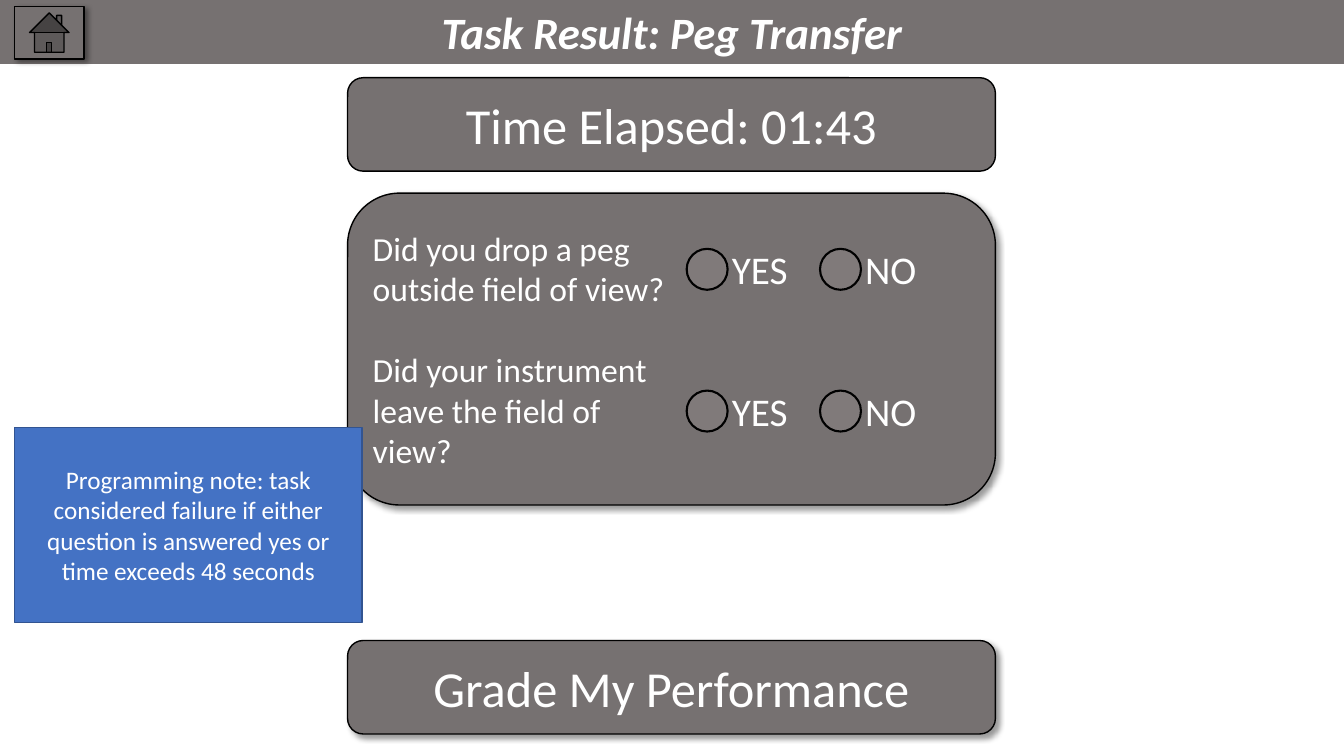
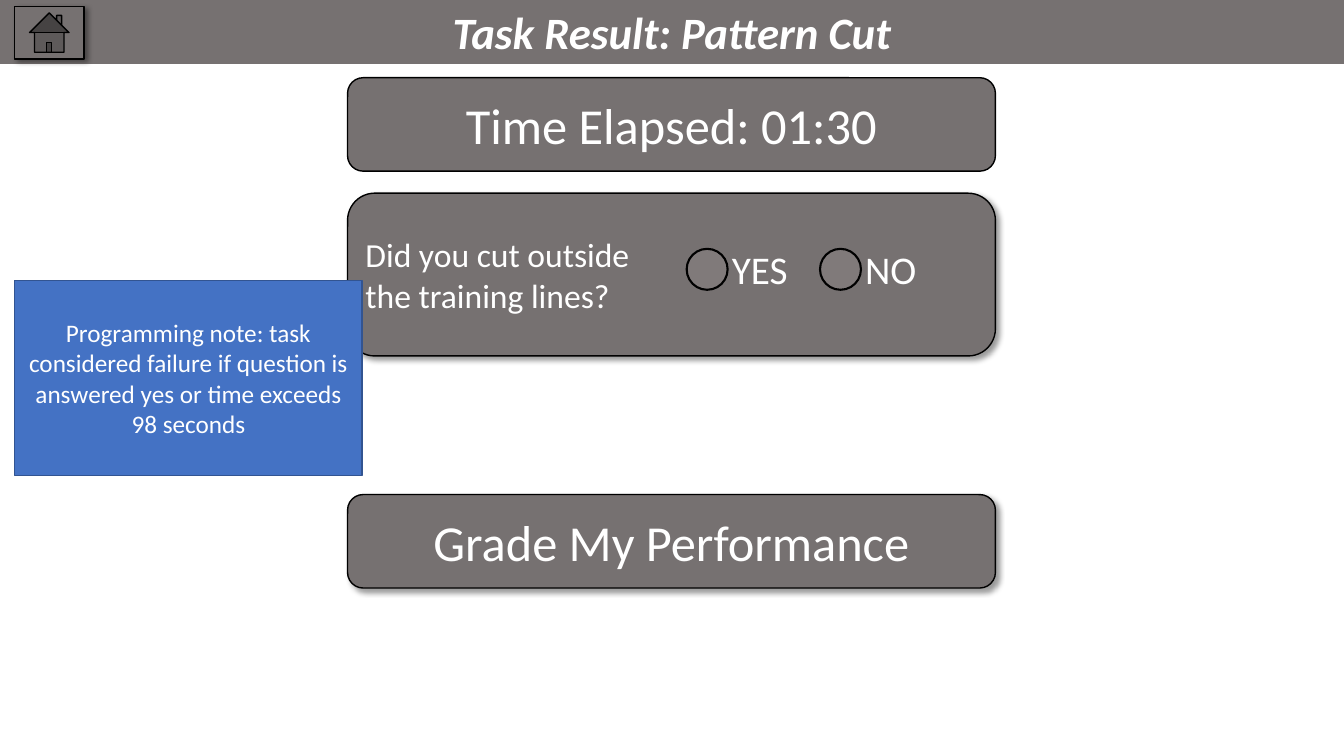
from lxml.etree import SubElement
from pptx import Presentation
from pptx.dml.color import RGBColor
from pptx.enum.shapes import MSO_SHAPE as Preset
from pptx.enum.text import MSO_ANCHOR as Anchor, PP_ALIGN as Align
from pptx.oxml.ns import qn
from pptx.util import Pt

PX = 9525
WIDTH, HEIGHT = 1280, 720
GRAY = RGBColor(0x76, 0x71, 0x71)
CIRCLE_GRAY = RGBColor(0x80, 0x7A, 0x7A)
BLACK = RGBColor(0x00, 0x00, 0x00)
WHITE = RGBColor(0xFF, 0xFF, 0xFF)
BLUE = RGBColor(0x44, 0x72, 0xC4)
DARK_BLUE = RGBColor(0x32, 0x54, 0x91)

TITLE = {"size": Pt(32), "bold": True, "italic": True}
BAR = {"size": Pt(36)}
QUESTION = {"size": Pt(24)}
ANSWER = {"size": Pt(28)}
NOTE = {"size": Pt(18)}

COLUMN_LEFT, COLUMN_WIDTH = 331, 617
BAR_HEIGHT = 89
CIRCLE = 39
LABEL_GAP = 4
ANSWERS = {"YES": 654, "NO": 781}
FIRST_ANSWER_TOP, ANSWER_STEP = 237, 135


class ResultDeck:
    """Draws task result slides in one shared style."""

    def __init__(self):
        self.presentation = Presentation()
        self.presentation.slide_width = WIDTH * PX
        self.presentation.slide_height = HEIGHT * PX
        self.slide = None

    def add_slide(self):
        self.slide = self.presentation.slides.add_slide(self.presentation.slide_layouts[6])

    def fill_text(self, shape, paragraphs, style, align=Align.CENTER, space=0):
        frame = shape.text_frame
        frame.word_wrap = True
        frame.vertical_anchor = Anchor.MIDDLE
        for index, text in enumerate(paragraphs):
            paragraph = frame.paragraphs[0] if index == 0 else frame.add_paragraph()
            paragraph.alignment = align
            paragraph.space_before = Pt(space if index else 0)
            run = paragraph.add_run()
            run.text = text
            run.font.color.rgb = WHITE
            for name, value in {"name": "Calibri", **style}.items():
                setattr(run.font, name, value)
        return frame

    def box(self, preset, left, top, width, height, fill=GRAY, line=BLACK, weight=1, shadow=False):
        shape = self.slide.shapes.add_shape(
            preset, left * PX, top * PX, width * PX, height * PX)
        shape.fill.solid()
        shape.fill.fore_color.rgb = fill
        if line is None:
            shape.line.fill.background()
        else:
            shape.line.color.rgb = line
            shape.line.width = Pt(weight)
        shape.shadow.inherit = False
        if shadow:
            self.cast_shadow(shape)
        return shape

    def cast_shadow(self, shape):
        effects = shape._element.spPr.find(qn("a:effectLst"))
        outer = SubElement(effects, qn("a:outerShdw"), blurRad=str(Pt(4)), dist=str(Pt(3)),
                           dir="2700000", algn="tl", rotWithShape="0")
        color = SubElement(outer, qn("a:srgbClr"), val=str(BLACK))
        SubElement(color, qn("a:alpha"), val="40000")

    def header(self, title):
        band = self.box(Preset.RECTANGLE, 0, 0, WIDTH, 61, line=None)
        self.fill_text(band, [title], TITLE)
        self.box(Preset.ACTION_BUTTON_HOME, 14, 6, 66, 50, shadow=True)

    def bar(self, text, top, shadow=False):
        bar = self.box(Preset.ROUNDED_RECTANGLE, COLUMN_LEFT, top, COLUMN_WIDTH, BAR_HEIGHT,
                       shadow=shadow)
        self.fill_text(bar, [text], BAR)

    def questions(self, questions, height):
        panel = self.box(Preset.ROUNDED_RECTANGLE, COLUMN_LEFT, 184, COLUMN_WIDTH, height,
                         shadow=True)
        frame = self.fill_text(panel, questions, QUESTION, Align.LEFT, space=29)
        frame._txBody.bodyPr.set("numCol", "2")
        for row in range(len(questions)):
            for text, left in ANSWERS.items():
                self.answer(text, left, FIRST_ANSWER_TOP + row * ANSWER_STEP)

    def answer(self, text, left, top):
        self.box(Preset.OVAL, left, top, CIRCLE, CIRCLE, fill=CIRCLE_GRAY, weight=1.5)
        label = self.slide.shapes.add_textbox(
            (left + CIRCLE + LABEL_GAP) * PX, top * PX, 70 * PX, CIRCLE * PX)
        frame = self.fill_text(label, [text], ANSWER, Align.LEFT)
        for side in ("left", "top", "right", "bottom"):
            setattr(frame, f"margin_{side}", 0)

    def note(self, text, top):
        note = self.box(Preset.RECTANGLE, 14, top, 331, 186, fill=BLUE, line=DARK_BLUE)
        self.fill_text(note, [text], NOTE)


RESULTS = [
    {
        "task": "Peg Transfer",
        "time": "01:43",
        "questions": ["Did you drop a peg outside field of view?",
                      "Did your instrument leave the field of view?"],
        "panel_height": 297,
        "grade_top": 610,
        "note": "either question is answered yes or time exceeds 48 seconds",
        "note_top": 407,
    },
    {
        "task": "Pattern Cut",
        "time": "01:30",
        "questions": ["Did you cut outside the training lines?"],
        "panel_height": 155,
        "grade_top": 471,
        "note": "question is answered yes or time exceeds 98 seconds",
        "note_top": 267,
    },
]


def main():
    deck = ResultDeck()
    for result in RESULTS:
        deck.add_slide()
        deck.header(f"Task Result: {result['task']}")
        deck.bar(f"Time Elapsed: {result['time']}", 74)
        deck.questions(result["questions"], result["panel_height"])
        deck.bar("Grade My Performance", result["grade_top"], shadow=True)
        deck.note(f"Programming note: task considered failure if {result['note']}",
                  result["note_top"])
    deck.presentation.save("out.pptx")


if __name__ == "__main__":
    main()
